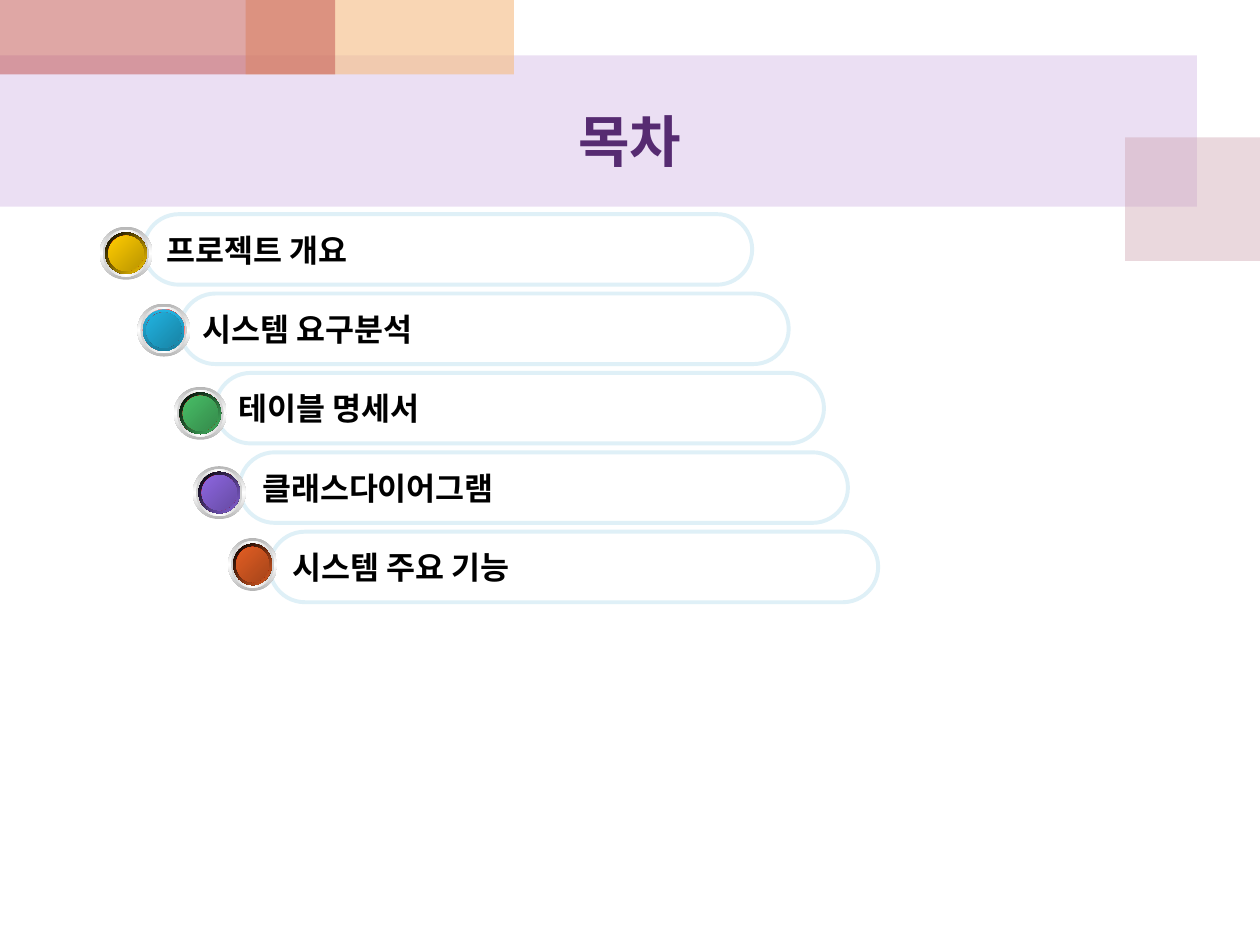
from copy import deepcopy
from dataclasses import dataclass

from lxml.etree import SubElement as Sub
from pptx import Presentation as Deck
from pptx.dml.color import RGBColor as Rgb
from pptx.enum.shapes import MSO_SHAPE as Kind
from pptx.enum.text import MSO_ANCHOR as Anchor, PP_ALIGN as Align
from pptx.oxml.ns import qn
from pptx.util import Inches as In, Pt


@dataclass(frozen=True)
class Theme:
    font: str = "Noto Sans CJK KR"
    head: str = "562B71"
    ink: str = "000000"
    edge: str = "DFF0F7"
    big: int = 32
    text: int = 18
    line: float = 2.25
    rim: tuple = ("B6B6B6", "FFFFFF", "B6B6B6")
    ring: tuple = ("D1D1D1", "FFFFFF", "D1D1D1")
    glow: tuple = ("FFFFFF", "FF0000", "FFFFFF")
    core: tuple = ("C30000", "FF0000", "C30000")
    lilac: str = "BF98D8"
    rose: str = "CC9EAC"
    peach: str = "F5BC83"
    red: str = "C0504D"
    gold: tuple = ("FFCC00", "BA9500")
    blue: tuple = ("21B3E1", "1883A4")
    deep: tuple = ("21B3E1", "1880A1")
    green: tuple = ("48BE67", "358B4B")
    plum: tuple = ("8D67E1", "674BA4")
    rust: tuple = ("E35E23", "A6451A")


class Page:
    """Draws styled elements on one slide."""

    def __init__(self, deck, theme):
        self.theme = theme
        self.slide = deck.slides.add_slide(deck.slide_layouts[6])

    def shape(self, kind, box, home=None):
        part = (home or self.slide).shapes.add_shape(kind, *map(In, box))
        part.shadow.inherit = False
        part.line.fill.background()
        return part

    def block(self, box, color, alpha):
        part = self.shape(Kind.RECTANGLE, box)
        part.fill.solid()
        part.fill.fore_color.rgb = Rgb.from_string(color)
        tint = part._element.spPr.find(".//" + qn("a:srgbClr"))
        Sub(tint, qn("a:alpha"), val=str(alpha * 1000))

    def label(self, part, text, size, color, align):
        frame = part.text_frame
        frame.vertical_anchor = Anchor.MIDDLE
        para = frame.paragraphs[0]
        para.text = text
        para.alignment = align
        font = para.font
        font.name, font.size, font.bold = self.theme.font, Pt(size), True
        font.color.rgb = Rgb.from_string(color)
        props = para._p.pPr.find(qn("a:defRPr"))
        Sub(props, qn("a:ea"), typeface=self.theme.font)

    def title(self, box, text):
        part = self.slide.shapes.add_textbox(*map(In, box))
        part.text_frame.word_wrap = True
        self.label(part, text, self.theme.big, self.theme.head, Align.CENTER)

    def pill(self, box, text):
        part = self.shape(Kind.ROUNDED_RECTANGLE, box)
        part.adjustments[0] = 0.5
        part.fill.background()
        part.line.color.rgb = Rgb.from_string(self.theme.edge)
        part.line.width = Pt(self.theme.line)
        part.text_frame.word_wrap = False
        self.label(part, text, self.theme.text, self.theme.ink, Align.LEFT)

    def disc(self, home, box, colors, angle):
        part = self.shape(Kind.OVAL, box, home)
        fill = part.fill
        fill.gradient()
        fill.gradient_angle = -angle % 360
        stops = part._element.spPr.find(".//" + qn("a:gsLst"))
        if len(colors) == 3:
            stops.insert(1, deepcopy(stops[0]))
        for i, (stop, color) in enumerate(zip(fill.gradient_stops, colors)):
            stop.position = i / (len(colors) - 1)
            stop.color.rgb = Rgb.from_string(color)

    def button(self, left, top, wide, face, base=None, angle=45):
        look = self.theme
        group = self.slide.shapes.add_group_shape()
        layers = (
            (0, look.rim, 90),
            (0.025, look.ring, 0),
            (0.045, look.glow, 45),
            (0.045, base or (look.ink, face[0]), angle),
            (0.07, look.core, 315),
            (0.07, face, 45),
        )
        tall = 0.42
        for gap, colors, turn in layers:
            side = gap * wide / tall
            box = left + side, top + gap, wide - 2 * side, tall - 2 * gap
            self.disc(group, box, colors, turn)


def main():
    deck = Deck()
    deck.slide_width, deck.slide_height = In(10), In(7.5)
    look = Theme()
    page = Page(deck, look)
    page.block((0, 0.44, 9.5, 1.2), look.lilac, 30)
    page.block((8.93, 1.09, 1.07, 0.98), look.rose, 40)
    page.block((1.95, 0, 2.13, 0.59), look.peach, 60)
    page.block((0, 0, 2.66, 0.59), look.red, 50)
    page.title((0.5, 0.59, 9, 1.05), "목차")

    pills = (
        ("프로젝트 개요", 1.14),
        ("시스템 요구분석", 1.43),
        ("테이블 명세서", 1.71),
        ("클래스다이어그램", 1.9),
        ("시스템 주요 기능", 2.14),
    )
    for row, (text, left) in enumerate(pills):
        page.pill((left, 1.7 + 0.63 * row, 4.83, 0.56), text)

    page.button(0.79, 1.8, 0.42, look.gold)
    page.button(1.09, 2.41, 0.42, look.blue, look.deep, 90)
    page.button(1.38, 3.07, 0.42, look.green)
    page.button(1.53, 3.7, 0.42, look.plum)
    page.button(1.81, 4.27, 0.39, look.rust)
    deck.save("out.pptx")


if __name__ == "__main__":
    main()
